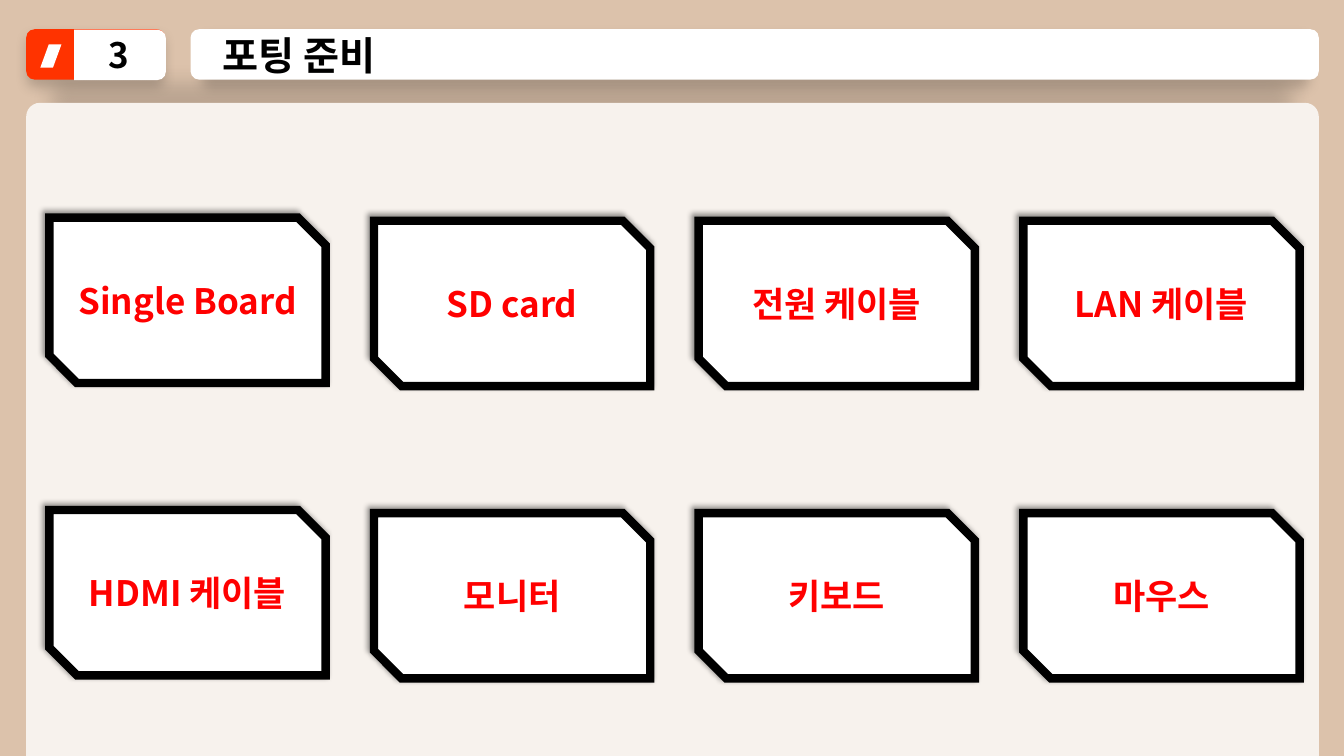
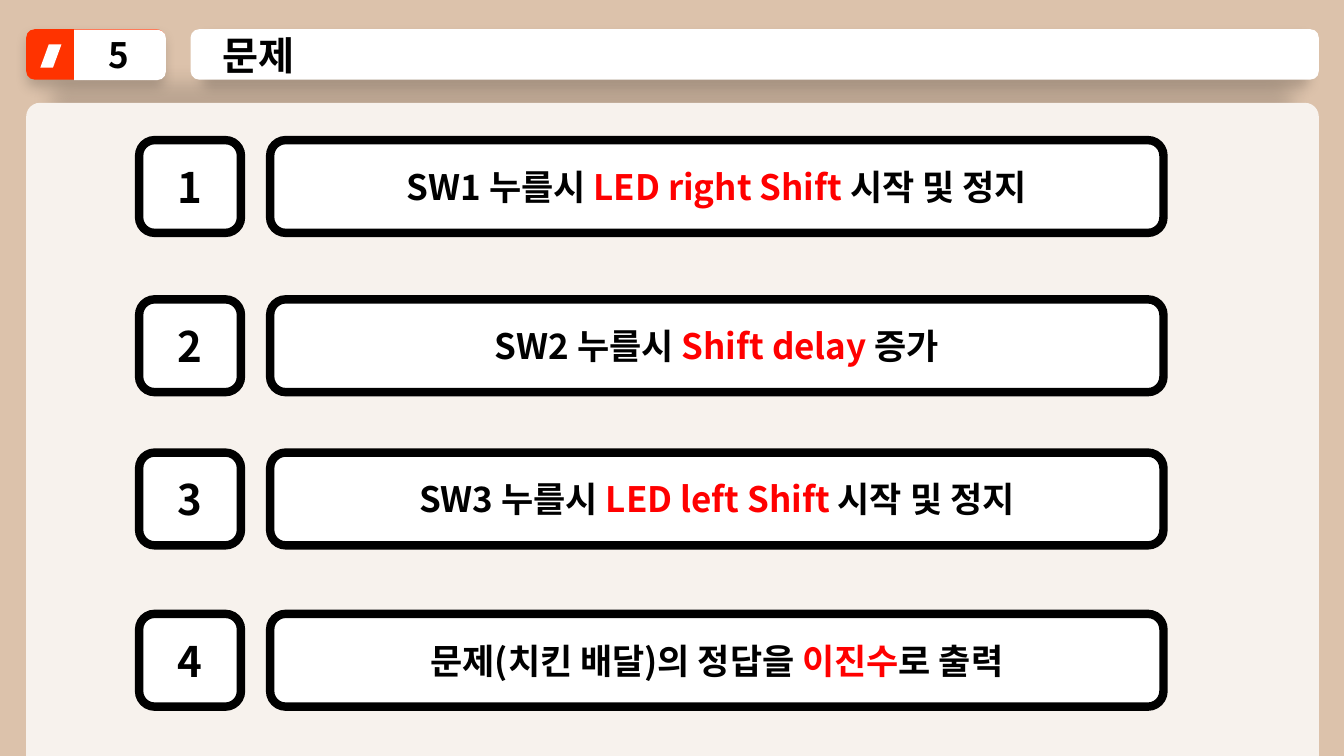
from lxml.etree import SubElement
from pptx import Presentation
from pptx.dml.color import RGBColor
from pptx.enum.shapes import MSO_SHAPE as Shape
from pptx.enum.text import MSO_ANCHOR as Anchor, MSO_AUTO_SIZE as AutoSize, PP_ALIGN as Align
from pptx.oxml.ns import qn
from pptx.util import Inches, Pt

# Content
PREPARATION = {"number": "3", "title": "포팅 준비"}
SUPPLIES = [
    ["Single Board", "SD card", "전원 케이블", "LAN 케이블"],
    ["HDMI 케이블", "모니터", "키보드", "마우스"],
]
PROBLEM = {"number": "5", "title": "문제"}
# Each task: top, then text before, inside and after the highlight
TASKS = [
    (1.39, "SW1 누를시 ", "LED right Shift ", "시작 및 정지"),
    (2.97, "SW2 누를시 ", "Shift delay ", "증가"),
    (4.49, "SW3 누를시 ", "LED left Shift ", "시작 및 정지"),
    (6.09, "문제(치킨 배달)의 정답을 ", "이진수", "로 출력"),
]

# Shared style
FONT = "Noto Sans CJK KR"
COLORS = {
    "background": "DCC2AB", "panel": "F7F2ED", "badge": "FF3300",
    "white": "FFFFFF", "black": "000000", "highlight": "FF0000",
}
# Shadows: opacity in percent, blur and distance in points, direction in degrees,
# width in percent of the shape
BAR_SHADOW = (19, 9, 5, 90, 98)
PANEL_SHADOW = (14, 14, 14, 270, 96)
CARD_SHADOW = (40, 4, 3, 225, 100)
TITLE_BOX = (1.89, 0.29, 11.19, 0.5)


def color(name):
    return RGBColor.from_string(COLORS[name])


def add_shadow(shape, opacity, blur, distance, direction, width):
    effects = shape._element.spPr.find(qn("a:effectLst"))
    outer = SubElement(effects, qn("a:outerShdw"), blurRad=str(Pt(blur)), dist=str(Pt(distance)),
                       dir=str(direction * 60000), sx=str(width * 1000), algn="ctr",
                       rotWithShape="0")
    tint = SubElement(outer, qn("a:srgbClr"), val=COLORS["black"])
    SubElement(tint, qn("a:alpha"), val=str(opacity * 1000))


def add_block(slide, kind, box, fill, adjust=(), shadow=None, border=False):
    shape = slide.shapes.add_shape(kind, *map(Inches, box))
    for index, value in enumerate(adjust):
        shape.adjustments[index] = value
    shape.fill.solid()
    shape.fill.fore_color.rgb = color(fill)
    if border:
        shape.line.color.rgb = color("black")
        shape.line.width = Pt(6)
        SubElement(shape.line._get_or_add_ln(), qn("a:miter"), lim="800000")
    else:
        shape.line.fill.background()
    shape.shadow.inherit = False
    if shadow:
        add_shadow(shape, *shadow)
    return shape


def write(shape, parts, size, ink="black", align=Align.CENTER):
    """Fill a shape with one paragraph; the second part, if any, is highlighted."""
    frame = shape.text_frame
    frame.word_wrap = True
    frame.vertical_anchor = Anchor.MIDDLE
    paragraph = frame.paragraphs[0]
    paragraph.alignment = align
    font = paragraph.font
    font.name, font.size, font.bold = FONT, Pt(size), True
    font.color.rgb = color(ink)
    latin = paragraph._p.pPr.find(qn("a:defRPr")).find(qn("a:latin"))
    latin.addnext(latin.makeelement(qn("a:ea"), {"typeface": FONT}))
    for index, text in enumerate(parts):
        run = paragraph.add_run()
        run.text = text
        if index == 1:
            run.font.color.rgb = color("highlight")


def add_framed_slide(deck, number, title):
    slide = deck.slides.add_slide(deck.slide_layouts[5])
    slide.background.fill.solid()
    slide.background.fill.fore_color.rgb = color("background")

    # Content panel, behind the bars so that its shadow does not darken them
    add_block(slide, Shape.ROUND_2_SAME_RECTANGLE, (0.26, 1.02, 12.82, 6.48), "panel",
              [0.021, 0], PANEL_SHADOW)

    # Number badge with a plain mark
    add_block(slide, Shape.ROUNDED_RECTANGLE, (0.26, 0.29, 1.38, 0.5), "badge", [0.167], BAR_SHADOW)
    number_tab = add_block(slide, Shape.ROUND_2_SAME_RECTANGLE, (0.94, 0.09, 0.5, 0.91), "white")
    number_tab.rotation = 90
    number_tab.text_frame._txBody.bodyPr.set("vert", "vert270")
    write(number_tab, [number], 25)
    add_block(slide, Shape.PARALLELOGRAM, (0.4, 0.44, 0.21, 0.23), "white", [0.4])

    # Title bar
    add_block(slide, Shape.ROUNDED_RECTANGLE, TITLE_BOX, "white", [0.167], BAR_SHADOW)
    heading = slide.shapes.title
    heading.left, heading.top, heading.width, heading.height = map(Inches, TITLE_BOX)
    frame = heading.text_frame
    frame.auto_size = AutoSize.NONE
    frame.margin_left = Inches(0.32)
    frame.margin_top = frame.margin_bottom = 0
    write(heading, [title], 28, align=Align.LEFT)
    slide.shapes._spTree.append(heading._element)  # in front of its bar
    return slide


def build_preparation(deck):
    slide = add_framed_slide(deck, **PREPARATION)
    left, top, width, height = 0.49, 2.19, 2.74, 1.64
    column_step, row_step, first_column_lift = 3.22, 2.9, 0.03
    for row, names in enumerate(SUPPLIES):
        for column, name in enumerate(names):
            card_top = top + row * row_step - (first_column_lift if column == 0 else 0)
            card = add_block(slide, Shape.SNIP_2_DIAG_RECTANGLE,
                             (left + column * column_step, card_top, width, height),
                             "white", shadow=CARD_SHADOW, border=True)
            write(card, [name], 25, "highlight")


def build_problem(deck):
    slide = add_framed_slide(deck, **PROBLEM)
    height = 0.92
    for number, (top, *parts) in enumerate(TASKS, start=1):
        for left, width, texts, size in ((2.68, 8.86, parts, 25), (1.38, 1.01, [str(number)], 30)):
            box = add_block(slide, Shape.ROUNDED_RECTANGLE, (left, top, width, height),
                            "white", border=True)
            write(box, texts, size)


def main():
    deck = Presentation()
    deck.slide_width, deck.slide_height = Inches(13.33), Inches(7.5)
    build_preparation(deck)
    build_problem(deck)
    deck.save("out.pptx")


if __name__ == "__main__":
    main()
